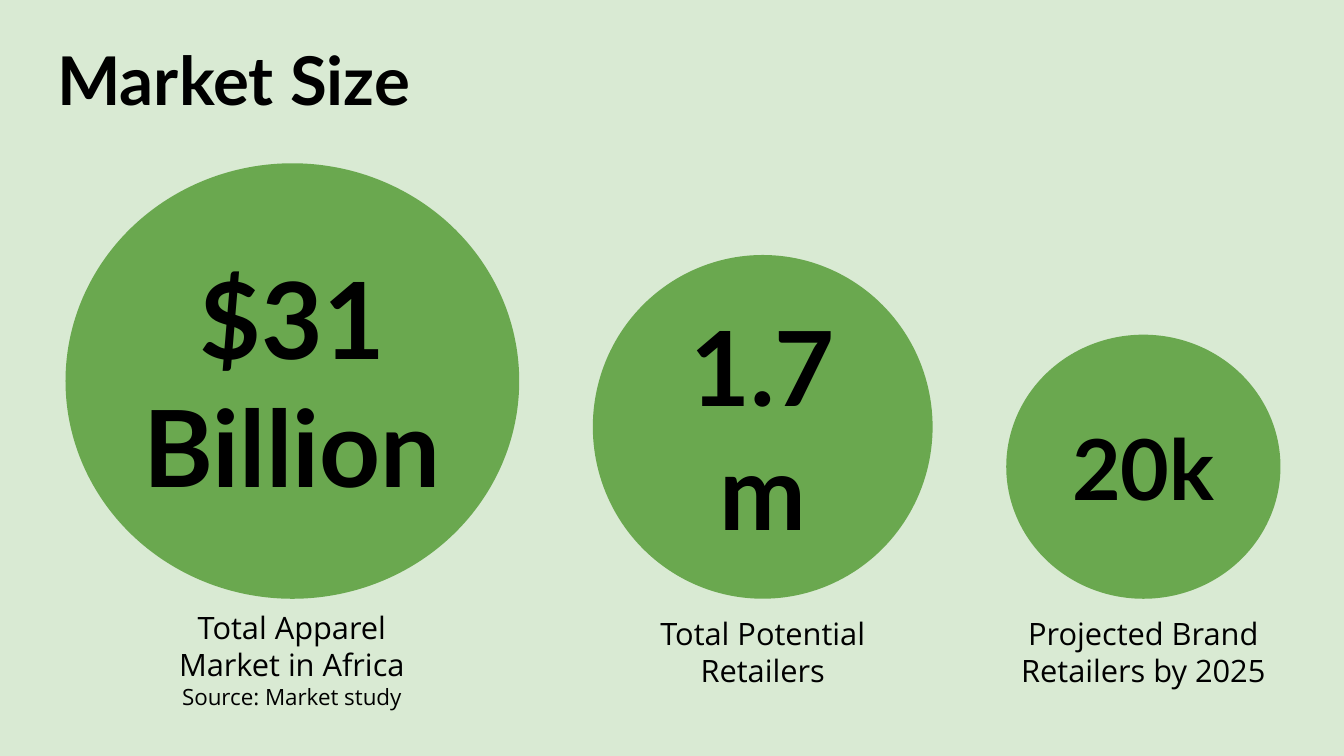
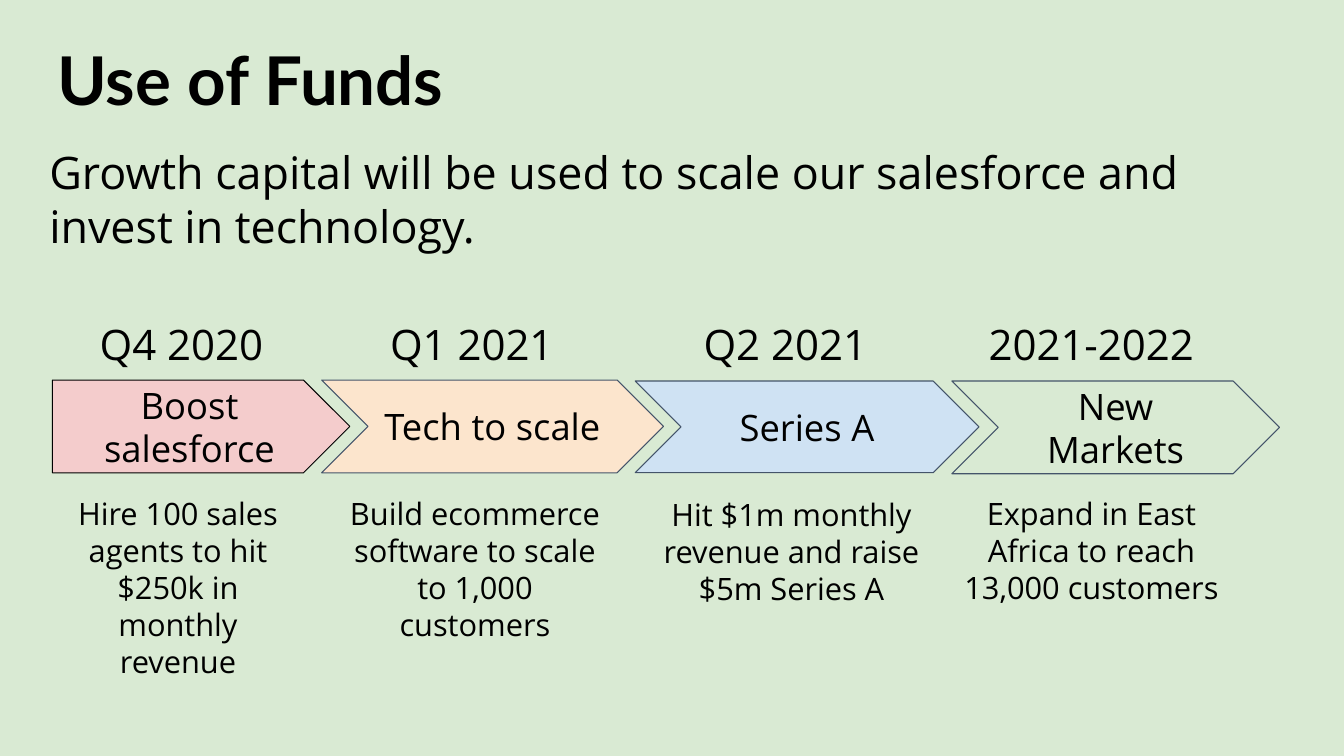
from collections import namedtuple

from pptx import Presentation
from pptx import util as u
from pptx.dml.color import RGBColor
from pptx.enum import shapes, text

COLORS = {
    "background": "D9EAD3",
    "circle": "6AA84F",
    "ink": "000000",
    "outline": "44546A",
    "red": "F4CCCC",
    "orange": "FCE5CD",
    "blue": "CFE2F3",
}
HEADING_FONT, BODY_FONT = "Lato", "Open Sans"
SHAPE = shapes.MSO_SHAPE
TOP, MIDDLE = text.MSO_ANCHOR.TOP, text.MSO_ANCHOR.MIDDLE
LEFT, CENTER = text.PP_ALIGN.LEFT, text.PP_ALIGN.CENTER

Box = namedtuple("Box", "left top width height")
Market = namedtuple("Market", "figure size circle caption caption_box source", defaults=[None])
Phase = namedtuple(
    "Phase", "period label_width name arrow fill outline arrow_box note note_box note_indent")

CIRCLE_BOTTOM = 5.94
MARKETS = [
    Market("$31 Billion", 76, (0.65, 4.5, 4.32), "Total Apparel Market in Africa",
           Box(1.43, 5.94, 2.93, 1.16), "Source: Market study"),
    Market("1.7m", 74, (5.88, 3.37, 3.41), "Total Potential Retailers",
           Box(6.31, 6, 2.51, 0.82)),
    Market("20k", 60, (9.98, 2.72, 2.62), "Projected Brand Retailers by 2025",
           Box(9.92, 6, 2.84, 0.82)),
]
PHASES = [
    Phase("Q4 2020", 2.56, "Boost salesforce", SHAPE.PENTAGON, "red", "ink",
          Box(0.52, 3.77, 2.95, 0.92),
          "Hire 100 sales agents to hit $250k in monthly revenue",
          Box(0.52, 4.81, 2.49, 1.52), 0),
    Phase("Q1 2021", 2.98, "Tech to scale", SHAPE.CHEVRON, "orange", "outline",
          Box(3.19, 3.77, 3.39, 0.92),
          "Build ecommerce software to scale to 1,000 customers",
          Box(3.19, 4.81, 2.93, 1.52), 0.11),
    Phase("Q2 2021", 2.98, "Series A", SHAPE.CHEVRON, "blue", "outline",
          Box(6.3, 3.78, 3.41, 0.91),
          "Hit $1m monthly revenue and raise $5m Series A",
          Box(6.31, 4.82, 2.97, 1.51), 0.11),
    Phase("2021-2022", 2.77, "New Markets", SHAPE.CHEVRON, "background", "outline",
          Box(9.44, 3.78, 3.25, 0.92),
          "Expand in East Africa to reach 13,000 customers",
          Box(9.44, 4.81, 2.77, 1.52), 0),
]


def color(name):
    return RGBColor.from_string(COLORS[name])


def inches(box):
    return [u.Inches(length) for length in box]


def style_para(para, size, font, bold, align):
    para.alignment = align
    for span in para.runs:
        span.font.size = u.Pt(size)
        span.font.name = font
        span.font.bold = bold
        span.font.color.rgb = color("ink")


def write(shape, words, size, font=BODY_FONT, bold=False, align=CENTER, anchor=TOP, indent=0):
    """Fill a shape with one styled paragraph."""
    frame = shape.text_frame
    frame.word_wrap = True
    frame.auto_size = text.MSO_AUTO_SIZE.NONE
    frame.vertical_anchor = anchor
    frame.margin_left = u.Inches(0.1 + indent)
    frame.margin_right = frame.margin_top = frame.margin_bottom = u.Inches(0.1)
    frame.text = words
    style_para(frame.paragraphs[0], size, font, bold, align)


def add_text(page, box, words, size, **style):
    textbox = page.shapes.add_textbox(*inches(box))
    write(textbox, words, size, **style)
    return textbox


def add_filled(page, kind, box, fill, outline=None):
    shape = page.shapes.add_shape(kind, *inches(box))
    shape.shadow.inherit = False
    shape.fill.solid()
    shape.fill.fore_color.rgb = color(fill)
    if outline:
        shape.line.color.rgb = color(outline)
        shape.line.width = u.Pt(0.75)
    else:
        shape.line.fill.background()
    return shape


def add_page(deck, title):
    page = deck.slides.add_slide(deck.slide_layouts[6])
    heading = add_text(page, Box(0.47, 0.33, 9.47, 0.89), title, 48,
                       font=HEADING_FONT, bold=True, align=LEFT)
    heading.text_frame.margin_top = heading.text_frame.margin_bottom = u.Inches(0.05)
    return page


def add_market(page, market):
    left, width, height = market.circle
    circle = add_filled(page, SHAPE.OVAL, Box(left, CIRCLE_BOTTOM - height, width, height), "circle")
    write(circle, market.figure, market.size, font=HEADING_FONT, bold=True, anchor=MIDDLE)
    caption = add_text(page, market.caption_box, market.caption, 22)
    if market.source:
        para = caption.text_frame.add_paragraph()
        para.text = market.source
        style_para(para, 16, BODY_FONT, False, CENTER)


def add_phase(page, phase):
    label_box = Box(phase.arrow_box.left, 3.1, phase.label_width, 0.61)
    add_text(page, label_box, phase.period, 30, anchor=MIDDLE)
    arrow = add_filled(page, phase.arrow, phase.arrow_box, phase.fill, phase.outline)
    write(arrow, phase.name, 26, anchor=MIDDLE)
    add_text(page, phase.note_box, phase.note, 22, indent=phase.note_indent)


def add_market_slide(deck):
    page = add_page(deck, "Market Size")
    for market in MARKETS:
        add_market(page, market)


def add_funds_slide(deck):
    page = add_page(deck, "Use of Funds")
    intro = add_text(
        page, Box(0.39, 1.34, 11.69, 1.32),
        "Growth capital will be used to scale our salesforce and invest in technology.",
        32, align=LEFT)
    para = intro.text_frame.paragraphs[0]
    para.space_before, para.space_after = u.Pt(10), u.Pt(13)
    for phase in PHASES:
        add_phase(page, phase)


def main():
    deck = Presentation()
    deck.slide_width, deck.slide_height = u.Inches(13.33), u.Inches(7.5)
    backdrop = deck.slide_master.background.fill
    backdrop.solid()
    backdrop.fore_color.rgb = color("background")
    add_market_slide(deck)
    add_funds_slide(deck)
    deck.save("out.pptx")


if __name__ == "__main__":
    main()
